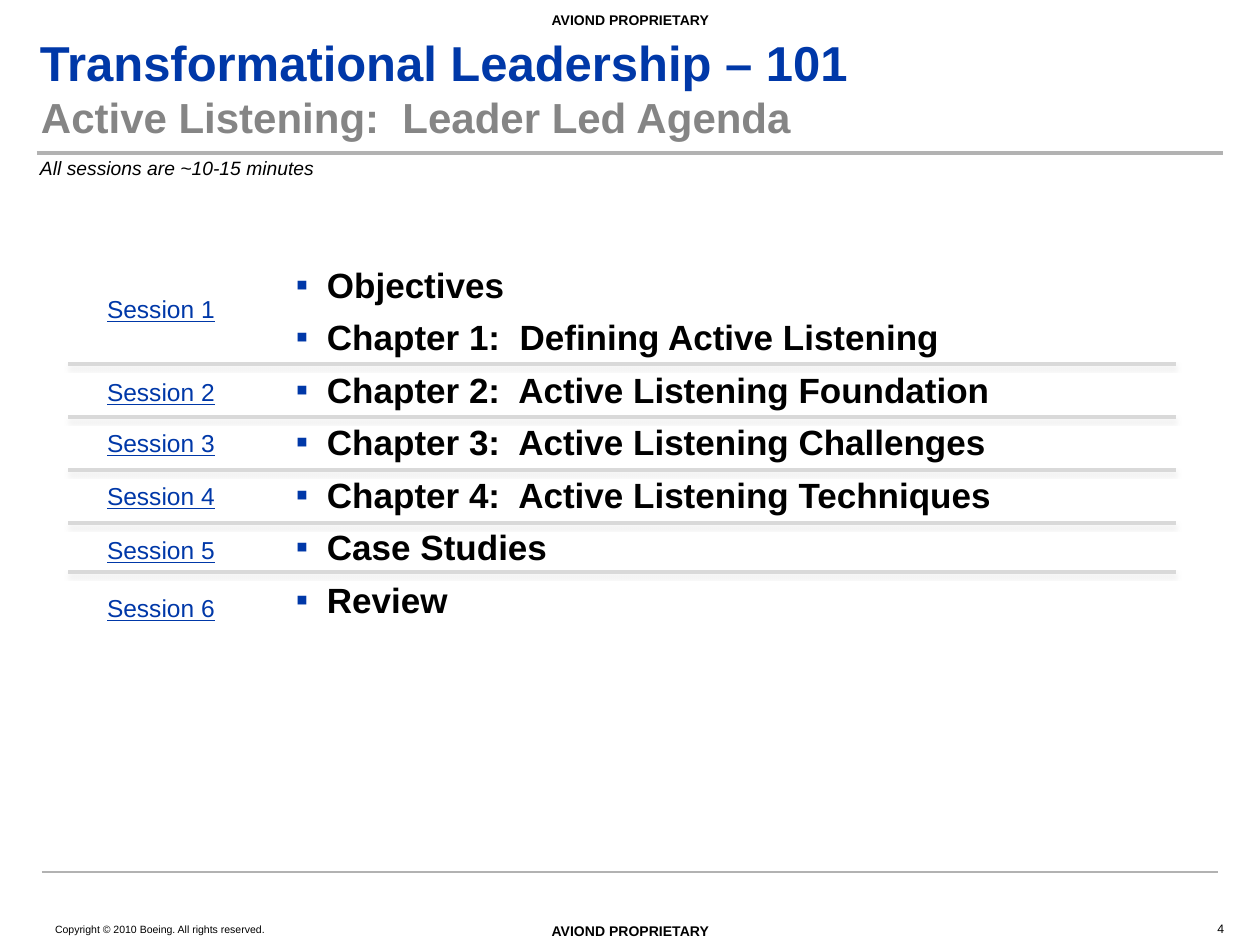
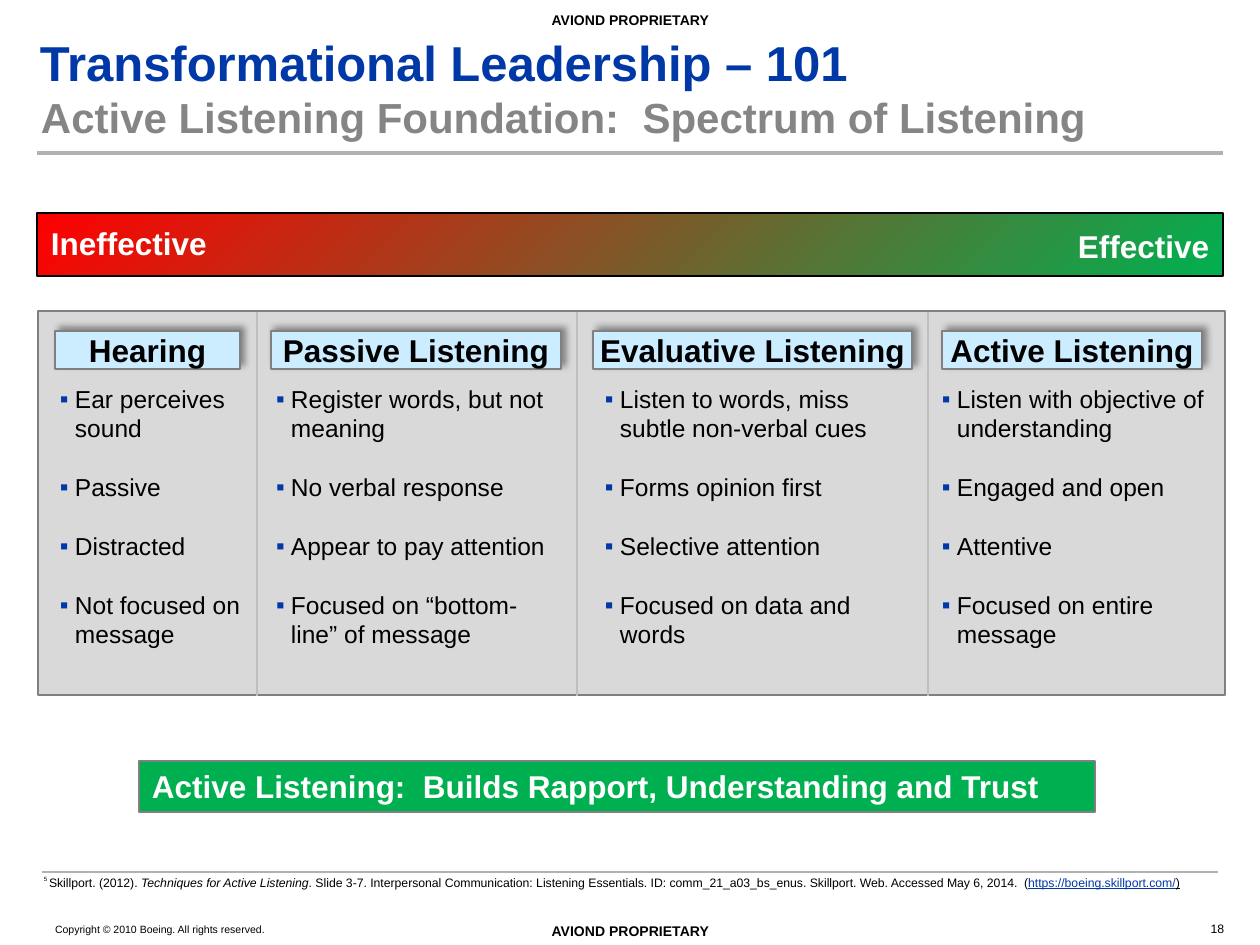
"""Build two training slides: a session agenda and the spectrum of listening."""
from pptx import Presentation
from pptx.dml.color import RGBColor
from pptx.enum.shapes import MSO_CONNECTOR, MSO_SHAPE
from pptx.enum.text import MSO_ANCHOR, PP_ALIGN
from pptx.oxml import parse_xml
from pptx.oxml.ns import nsdecls
from pptx.util import Emu, Pt

LEFT, CENTER, RIGHT = PP_ALIGN.LEFT, PP_ALIGN.CENTER, PP_ALIGN.RIGHT
TOP, MIDDLE = MSO_ANCHOR.TOP, MSO_ANCHOR.MIDDLE
RECT, STRAIGHT = MSO_SHAPE.RECTANGLE, MSO_CONNECTOR.STRAIGHT

FONT = "Arial"
COLORS = {
    "black": "000000", "white": "FFFFFF", "blue": "0038A8", "subtitle": "858585",
    "rule": "B2B2B2", "panel": "D9D9D9", "edge": "808080", "divider": "BFBFBF",
    "header": "CCECFF", "green": "00B050", "red": "FF0000",
}

COURSE = "Transformational Leadership – 101"
MARKING = "AVIOND PROPRIETARY"
COPYRIGHT = "Copyright © 2010 Boeing. All rights reserved."

AGENDA = {
    "subtitle": "Active Listening:  Leader Led Agenda",
    "number": "4",
    "note": "All sessions are ~10-15 minutes",
    "topics": [
        "Objectives",
        "Chapter 1:  Defining Active Listening",
        "Chapter 2:  Active Listening Foundation",
        "Chapter 3:  Active Listening Challenges",
        "Chapter 4:  Active Listening Techniques",
        "Case Studies",
        "Review",
    ],
    "session_tops": [288, 371, 422, 475, 529, 587],
    "separators": [364, 417, 470, 523, 572],
}

SPECTRUM = {
    "subtitle": "Active Listening Foundation:  Spectrum of Listening",
    "number": "18",
    "columns": [
        {"name": "Hearing", "header": (55, 185), "body": (47, 209),
         "points": ["Ear perceives sound", "Passive", "Distracted",
                    "Not focused on message"]},
        {"name": "Passive Listening", "header": (271, 290), "body": (263, 307),
         "points": ["Register words, but not meaning", "No verbal response",
                    "Appear to pay attention",
                    "Focused on “bottom-line” of message"]},
        {"name": "Evaluative Listening", "header": (593, 319), "body": (592, 307),
         "points": ["Listen to words, miss subtle non-verbal cues",
                    "Forms opinion first", "Selective attention",
                    "Focused on data and words"]},
        {"name": "Active Listening", "header": (942, 260), "body": (929, 292),
         "points": ["Listen with objective of understanding", "Engaged and open",
                    "Attentive", "Focused on entire message"]},
    ],
    "dividers": [257, 577, 928],
    "takeaway": "Active Listening:  Builds Rapport, Understanding and Trust",
    "source": [
        ("5 ", {"size": 6, "baseline": 50}),
        ("Skillport. (2012). ", {}),
        ("Techniques for Active Listening", {"italic": True}),
        (". Slide 3-7. Interpersonal Communication: Listening Essentials. "
         "ID: comm_21_a03_bs_enus. Skillport. Web. Accessed May 6, 2014.  (", {}),
        ("https://boeing.skillport.com/", {"color": "blue", "underline": True}),
        (")", {"underline": True}),
    ],
}


def px(value):
    return Emu(round(value * 914400 / 126))


def rgb(name):
    return RGBColor.from_string(COLORS[name])


def style_run(r, size=14, color="black", baseline=0, **flags):
    r.font.name, r.font.size = FONT, Pt(size)
    r.font.color.rgb = rgb(color)
    for name, value in flags.items():
        setattr(r.font, name, value)
    if baseline:
        r._r.get_or_add_rPr().set("baseline", str(baseline * 1000))


def add_bullet(p, hang):
    pPr = p._p.get_or_add_pPr()
    pPr.set("marL", str(px(hang)))
    pPr.set("indent", str(-px(hang)))
    pPr.append(parse_xml(f'<a:buClr {nsdecls("a")}><a:srgbClr val="{COLORS["blue"]}"/></a:buClr>'))
    pPr.append(parse_xml(f'<a:buFont {nsdecls("a")} typeface="{FONT}"/>'))
    pPr.append(parse_xml(f'<a:buChar {nsdecls("a")} char="▪"/>'))


def write(tf, paragraphs, align=LEFT, anchor=TOP, inset=(13, 6), wrap=True,
          spacing=1.0, gap=0, hang=0, **font):
    side, edge = map(px, inset)
    frame = {"margin_left": side, "margin_right": side, "margin_top": edge,
             "margin_bottom": edge, "word_wrap": wrap, "vertical_anchor": anchor}
    for name, value in frame.items():
        setattr(tf, name, value)
    for i, runs in enumerate(paragraphs):
        p = tf.add_paragraph() if i else tf.paragraphs[0]
        p.alignment, p.line_spacing = align, spacing
        if i and gap:
            p.space_before = Pt(gap)
        if hang:
            add_bullet(p, hang)
        for text, extra in [(runs, {})] if isinstance(runs, str) else runs:
            r = p.add_run()
            r.text = text
            style_run(r, **{**font, **extra})


def add_text(s, box, paragraphs, **style):
    write(s.shapes.add_textbox(*map(px, box)).text_frame, paragraphs, **style)


def set_shadow(sp, color=None, blur=0, dist=0, angle=0):
    shadow = "" if color is None else (
        f'<a:outerShdw blurRad="{Pt(blur)}" dist="{Pt(dist)}" dir="{angle * 60000}" '
        f'algn="ctr" rotWithShape="0"><a:srgbClr val="{COLORS[color]}">'
        f'<a:alpha val="40000"/></a:srgbClr></a:outerShdw>')
    sp._element.spPr.append(
        parse_xml(f'<a:effectLst {nsdecls("a")}>{shadow}</a:effectLst>'))


def add_box(s, box, fill, edge="edge", width=0.75, shadow=()):
    sp = s.shapes.add_shape(RECT, *map(px, box))
    if isinstance(fill, str):
        sp.fill.solid()
        sp.fill.fore_color.rgb = rgb(fill)
    else:
        stops = "".join(f'<a:gs pos="{i * 100000}"><a:srgbClr val="{COLORS[name]}"/></a:gs>'
                        for i, name in enumerate(fill))
        sp._element.spPr.insert(2, parse_xml(
            f'<a:gradFill {nsdecls("a")}><a:gsLst>{stops}</a:gsLst><a:path path="circle">'
            '<a:fillToRect l="100000" t="100000"/></a:path></a:gradFill>'))
    sp.line.color.rgb, sp.line.width = rgb(edge), Pt(width)
    set_shadow(sp, *shadow)
    return sp


def add_line(s, x1, y1, x2, y2, color, width, shadow=()):
    line = s.shapes.add_connector(STRAIGHT, *map(px, (x1, y1, x2, y2)))
    line.line.color.rgb, line.line.width = rgb(color), Pt(width)
    set_shadow(line, *shadow)


def add_page(prs, content):
    s = prs.slides.add_slide(prs.slide_layouts[6])
    add_line(s, 37, 153, 1223, 153, "rule", 2)
    add_line(s, 42, 872, 1218, 872, "rule", 1.5)
    for top in (10, 922):
        add_text(s, (548, top, 165, 19), [MARKING], align=CENTER, inset=(1, 1),
                 wrap=False, size=8, bold=True)
    add_text(s, (54, 922, 369, 15), [COPYRIGHT], inset=(1, 1), size=6)
    add_text(s, (880, 914, 345, 30), [content["number"]], align=RIGHT,
             anchor=MIDDLE, inset=(1, 1), size=7)
    add_text(s, (40, 32, 1220, 60), [COURSE], anchor=MIDDLE, inset=(0, 0),
             size=28, color="blue", bold=True)
    add_text(s, (40, 96, 1220, 62), [content["subtitle"]], inset=(1, 1),
             spacing=0.9, size=24, color="subtitle", bold=True)
    return s


def build_agenda(prs):
    s = add_page(prs, AGENDA)
    add_text(s, (27, 150, 306, 37), [AGENDA["note"]], wrap=False, size=11, italic=True)
    add_text(s, (283, 257, 945, 461), AGENDA["topics"], gap=6, hang=31, size=20, bold=True)
    for number, top in enumerate(AGENDA["session_tops"], 1):
        add_text(s, (94, top, 158, 43), [f"Session {number}"], color="blue", underline=True)
    for y in AGENDA["separators"]:
        add_line(s, 1176, y, 68, y, "panel", 2.25, ("panel", 2, 2, 90))


def build_spectrum(prs):
    s = add_page(prs, SPECTRUM)
    scale_label = {"inset": (0, 0), "size": 18, "color": "white", "bold": True}
    add_box(s, (37, 213, 1186, 63), ("green", "red"), "black", 1)
    add_text(s, (51, 224, 184, 38), ["Ineffective"], **scale_label)
    add_text(s, (1075, 227, 137, 38), ["Effective"], align=CENTER, **scale_label)

    add_box(s, (38, 311, 1187, 384), "panel", width=1)
    for x in SPECTRUM["dividers"]:
        add_line(s, x, 312, x, 696, "divider", 0.75)
    for column in SPECTRUM["columns"]:
        left, width = column["header"]
        header = add_box(s, (left, 331, width, 38), "header", shadow=("black", 4, 3, 315))
        write(header.text_frame, [column["name"]], align=CENTER, inset=(0, 0),
              size=18, bold=True)
        left, width = column["body"]
        add_text(s, (left, 378, width, 310), column["points"], gap=16.8, hang=15)

    takeaway = add_box(s, (139, 761, 956, 51), "green")
    write(takeaway.text_frame, [SPECTRUM["takeaway"]], size=18, color="white", bold=True)
    add_text(s, (31, 869, 1186, 28), [SPECTRUM["source"]], size=7)


def main():
    prs = Presentation()
    prs.slide_width, prs.slide_height = px(1260), px(945)
    build_agenda(prs)
    build_spectrum(prs)
    prs.save("out.pptx")


if __name__ == "__main__":
    main()
